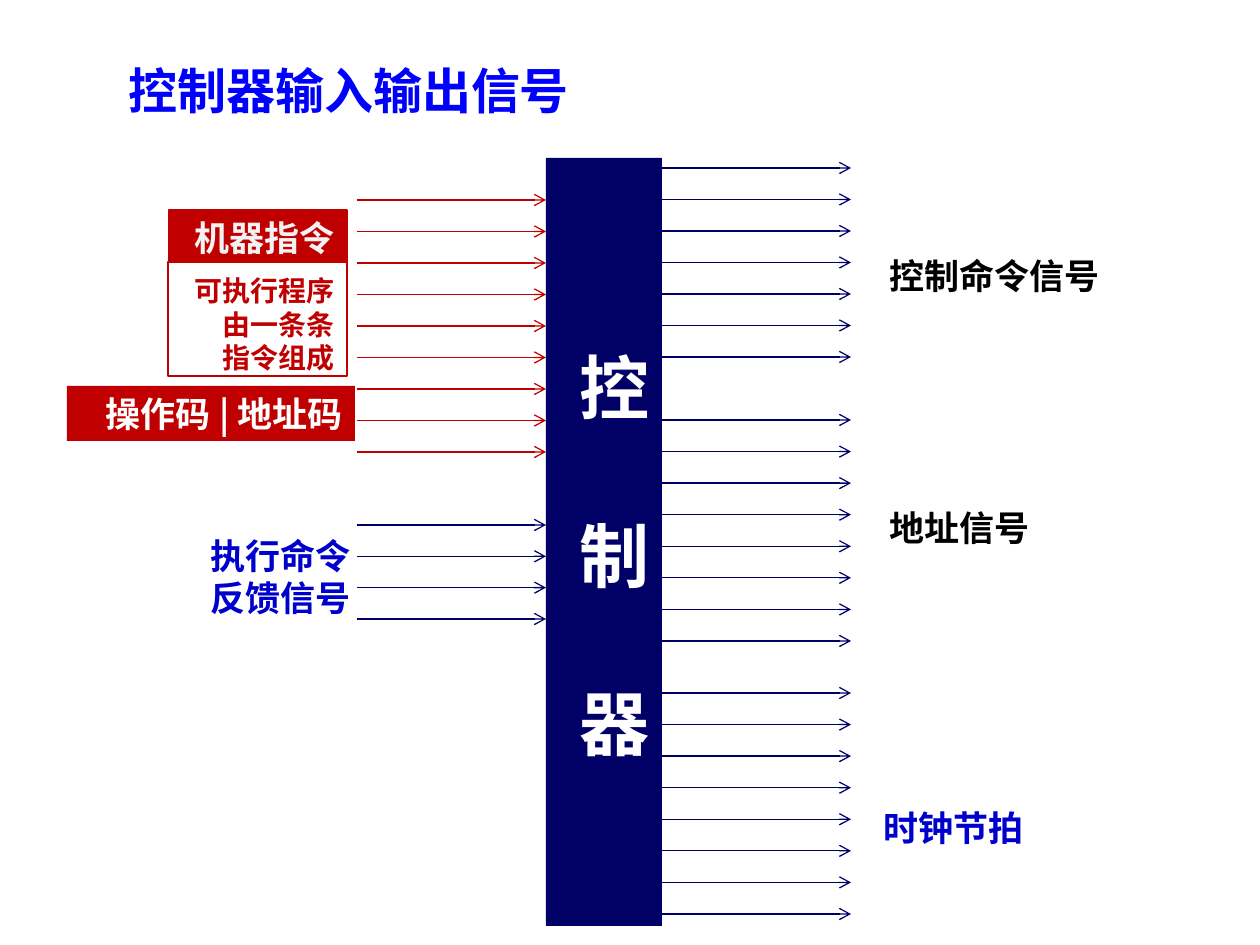
from dataclasses import dataclass

from lxml import etree
from pptx import Presentation
from pptx import util as u
from pptx.dml.color import RGBColor
from pptx.enum import shapes, text
from pptx.oxml import ns


@dataclass(frozen=True)
class Theme:
    font: str = "Noto Sans CJK SC"
    title: str = "0000FF"
    navy: str = "000066"
    blue: str = "0000CC"
    red: str = "C00000"
    white: str = "FFFFFF"
    pale: str = "F2F2F2"
    black: str = "000000"
    head: int = 28
    huge: int = 40
    body: int = 20
    small: int = 16
    thin: float = 0.75
    thick: float = 1.5


T = Theme()
LEFT, RIGHT = text.PP_ALIGN.LEFT, text.PP_ALIGN.RIGHT
TOP, MID = text.MSO_ANCHOR.TOP, text.MSO_ANCHOR.MIDDLE


def px(n):
    return u.Emu(round(n * 914400 / 126))


def rgb(code):
    return RGBColor.from_string(code)


def place(box):
    return [px(n) for n in box]


def write(shape, lines, size, color, align=LEFT, anchor=MID, gap=0, wrap=True):
    frame = shape.text_frame
    frame.text = "\n".join(lines)
    frame.auto_size = text.MSO_AUTO_SIZE.NONE
    frame.word_wrap = wrap
    frame.vertical_anchor = anchor
    frame.margin_left = frame.margin_right = u.Inches(0.1)
    frame.margin_top = frame.margin_bottom = u.Inches(0.05)
    if len(lines) > 1:
        share = 0.18 if anchor == TOP else 0.35
        frame.margin_top += u.Pt(size * share)
    for i, para in enumerate(frame.paragraphs):
        para.alignment = align
        para.space_before = u.Pt(gap if i else 0)
        if len(lines) > 1:
            para.line_spacing = u.Pt(size * 1.2)
        for run in para.runs:
            run.font.name = T.font
            run.font.size = u.Pt(size)
            run.font.bold = True
            run.font.color.rgb = rgb(color)
            face = etree.SubElement(run.font._element, ns.qn("a:ea"))
            face.set("typeface", T.font)


def label(slide, box, lines, color, **style):
    shape = slide.shapes.add_textbox(*place(box))
    write(shape, lines, T.body, color, wrap=False, **style)


def block(slide, box, fill, edge=None, width=T.thin):
    shape = slide.shapes.add_shape(shapes.MSO_SHAPE.RECTANGLE, *place(box))
    shape.shadow.inherit = False
    shape.fill.solid()
    shape.fill.fore_color.rgb = rgb(fill)
    if edge:
        shape.line.color.rgb = rgb(edge)
        shape.line.width = u.Pt(width)
    else:
        shape.line.fill.background()
    return shape


def arrows(slide, box, count, color):
    x, y, w, h = box
    for i in range(count):
        row = px(y + h * i / (count - 1))
        wire = slide.shapes.add_connector(
            shapes.MSO_CONNECTOR.STRAIGHT, px(x), row, px(x + w), row)
        wire.line.color.rgb = rgb(color)
        wire.line.width = u.Pt(T.thin)
        tip = etree.SubElement(wire.line._get_or_add_ln(), ns.qn("a:tailEnd"))
        tip.set("type", "arrow")
        etree.SubElement(wire._element.spPr, ns.qn("a:effectLst"))


def header(slide, box):
    title = slide.shapes.title
    title.left, title.top, title.width, title.height = place(box)
    write(title, ["控制器输入输出信号"], T.head, T.title)


def core(slide, box):
    shape = block(slide, box, T.navy)
    write(shape, "控制器", T.huge, T.white, align=RIGHT, gap=48)


def inputs(slide, box):
    x, y, w, h = box
    wire = x + w - 189
    arrows(slide, (wire, y, 189, 252), 9, T.red)
    arrows(slide, (wire, y + 325, 189, 94), 4, T.navy)
    order = block(slide, (x + 102, y + 10, 178, 55), T.red, T.red, T.thick)
    write(order, ["机器指令"], T.body, T.pale, align=RIGHT)
    note = block(slide, (x + 101, y + 62, 179, 114), T.white, T.red)
    write(note, ["可执行程序", "由一条条", "指令组成"], T.small, T.red, align=RIGHT)
    code = block(slide, (x, y + 186, 288, 55), T.red)
    write(code, ["操作码 | 地址码"], T.body, T.white, align=RIGHT, wrap=False)
    label(slide, (x + 131, y + 322, 165, 97), ["执行命令", "反馈信号"],
          T.blue, align=RIGHT)


def outputs(slide, box):
    x, y, w, h = box
    for top, tall, count in ((0, 189, 7), (252, 221, 8), (525, 221, 8)):
        arrows(slide, (x, y + top, 189, tall), count, T.navy)
    label(slide, (x + 215, y + 74, 236, 559), ["控制命令信号", "地址信号"],
          T.black, anchor=TOP, gap=120)
    label(slide, (x + 209, y + 632, 165, 55), ["时钟节拍"], T.blue)


def main():
    deck = Presentation()
    deck.slide_width, deck.slide_height = px(1260), px(945)
    slide = deck.slides.add_slide(deck.slide_layouts[5])
    header(slide, (116, 54, 892, 72))
    core(slide, (546, 158, 116, 768))
    inputs(slide, (67, 200, 479, 419))
    outputs(slide, (662, 168, 451, 746))
    deck.save("out.pptx")


if __name__ == "__main__":
    main()
